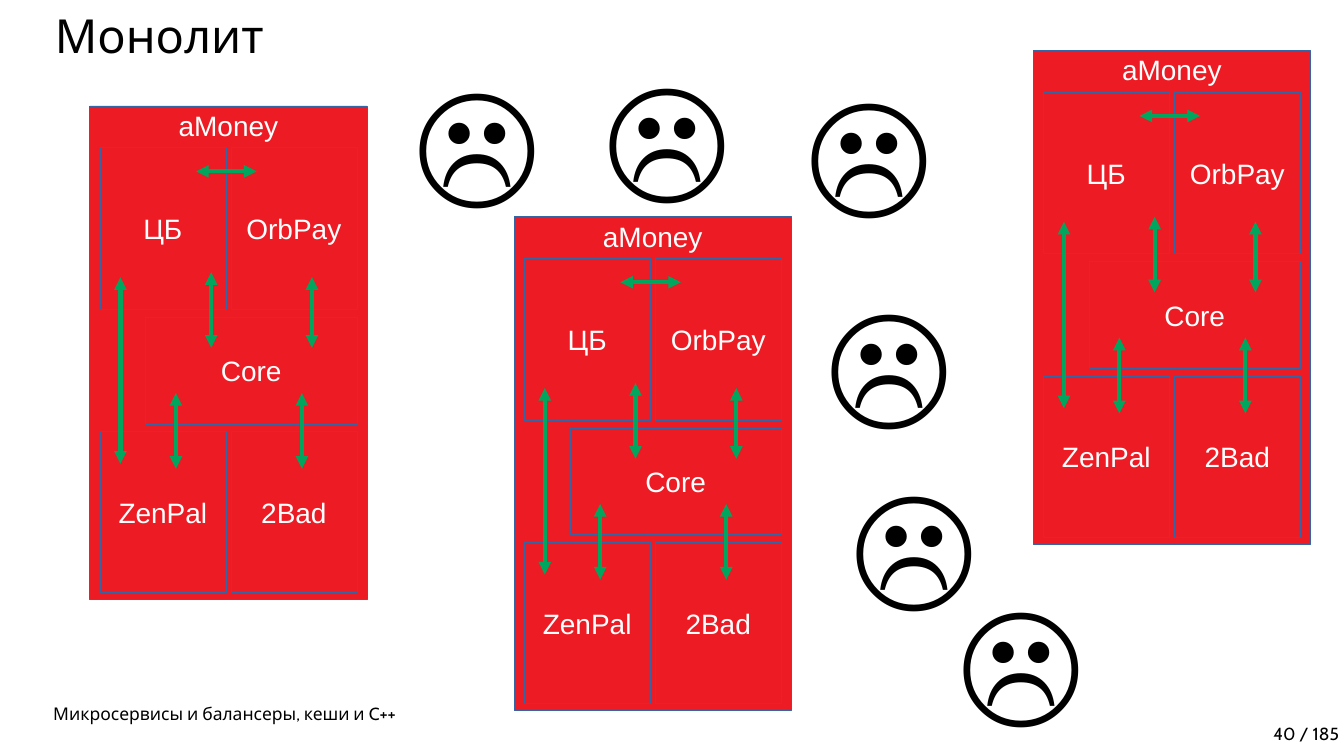
from lxml.etree import SubElement
from pptx import Presentation
from pptx.dml.color import RGBColor
from pptx.enum.shapes import MSO_CONNECTOR, MSO_SHAPE
from pptx.enum.text import MSO_ANCHOR, MSO_AUTO_SIZE, PP_ALIGN
from pptx.oxml.ns import qn
from pptx.util import Pt

COLORS = {"text": "000000", "label": "FFFFFF", "block": "ED1C24", "border": "3465A4", "arrow": "00A65D"}


def write(shape, text, size, font, color, align, anchor, wrap=True):
    frame = shape.text_frame
    frame.word_wrap = wrap
    frame.auto_size = MSO_AUTO_SIZE.NONE
    frame.vertical_anchor = anchor
    paragraph = frame.paragraphs[0]
    paragraph.alignment = align
    run = paragraph.add_run()
    run.text = text
    run.font.size = Pt(size)
    run.font.name = font
    run.font.color.rgb = RGBColor.from_string(COLORS[color])
    return paragraph


presentation = Presentation()
presentation.slide_width = Pt(1920)
presentation.slide_height = Pt(1080)
slide = presentation.slides.add_slide(presentation.slide_layouts[5])
shapes = slide.shapes

title = shapes.title
title.left, title.top, title.width, title.height = Pt(71.3), Pt(14.4), Pt(1886), Pt(101)
paragraph = write(title, "Монолит", 67, "Cabin", "text", PP_ALIGN.LEFT, MSO_ANCHOR.TOP)
paragraph.line_spacing = 0.9
paragraph.space_before = Pt(0)

footers = [
    ("Микросервисы и балансеры, кеши и C++", 69, 997, PP_ALIGN.LEFT),
    ("40 / 185", 1103, 1026, PP_ALIGN.RIGHT),
]
for text, left, top, align in footers:
    footer = shapes.add_textbox(Pt(left), Pt(top), Pt(817), Pt(40.5))
    paragraph = write(footer, text, 25, "Cabin", "text", align, MSO_ANCHOR.BOTTOM)
    paragraph.line_spacing = 0.9
    paragraph.space_before = Pt(30)
    paragraph.space_after = Pt(30)

modules = [
    ("aMoney", 0, 0, 396, 705.6, MSO_ANCHOR.TOP),
    ("ZenPal", 14.4, 465.1, 180, 230.4, MSO_ANCHOR.MIDDLE),
    ("Core", 79.9, 301.7, 301.7, 152.6, MSO_ANCHOR.MIDDLE),
    ("2Bad", 201.6, 465.1, 180, 230.4, MSO_ANCHOR.MIDDLE),
    ("ЦБ", 14.4, 59.8, 180, 230.4, MSO_ANCHOR.MIDDLE),
    ("OrbPay", 201.6, 59.8, 180, 230.4, MSO_ANCHOR.MIDDLE),
]
arrows = [
    (317.5, 345.6, 317.5, 244.8),
    (173.5, 345.6, 173.5, 237.6),
    (123.1, 518.4, 123.1, 410.4),
    (303.1, 518.4, 303.1, 410.4),
    (43.9, 511.2, 43.9, 244.8),
    (238.3, 93.6, 151.9, 93.6),
]
monoliths = [(1476, 72), (734.4, 309.6), (128.2, 151.2)]

for left, top in monoliths:
    for name, x, y, width, height, anchor in modules:
        module = shapes.add_shape(MSO_SHAPE.RECTANGLE, Pt(left + x), Pt(top + y), Pt(width), Pt(height))
        module.shadow.inherit = False
        module.fill.solid()
        module.fill.fore_color.rgb = RGBColor.from_string(COLORS["block"])
        module.line.color.rgb = RGBColor.from_string(COLORS["border"])
        module.line.width = Pt(0)
        write(module, name, 40, "Arial", "label", PP_ALIGN.CENTER, anchor, wrap=False)
    for x1, y1, x2, y2 in arrows:
        arrow = shapes.add_connector(
            MSO_CONNECTOR.STRAIGHT, Pt(left + x1), Pt(top + y1), Pt(left + x2), Pt(top + y2)
        )
        arrow.line.color.rgb = RGBColor.from_string(COLORS["arrow"])
        arrow.line.width = Pt(6)
        properties = arrow._element.spPr
        for end in ("a:headEnd", "a:tailEnd"):
            SubElement(properties.find(qn("a:ln")), qn(end), type="triangle")
        SubElement(properties, qn("a:effectLst"))

faces = [(1144.8, 86.4), (584.6, 72), (856.8, 64.8), (1173.6, 388.8), (1209.6, 648), (1362.2, 813.6)]
for left, top in faces:
    face = shapes.add_textbox(Pt(left), Pt(top), Pt(221.8), Pt(244.8))
    write(face, "☹️", 196, "Arial", "text", PP_ALIGN.LEFT, MSO_ANCHOR.TOP)

presentation.save("out.pptx")
